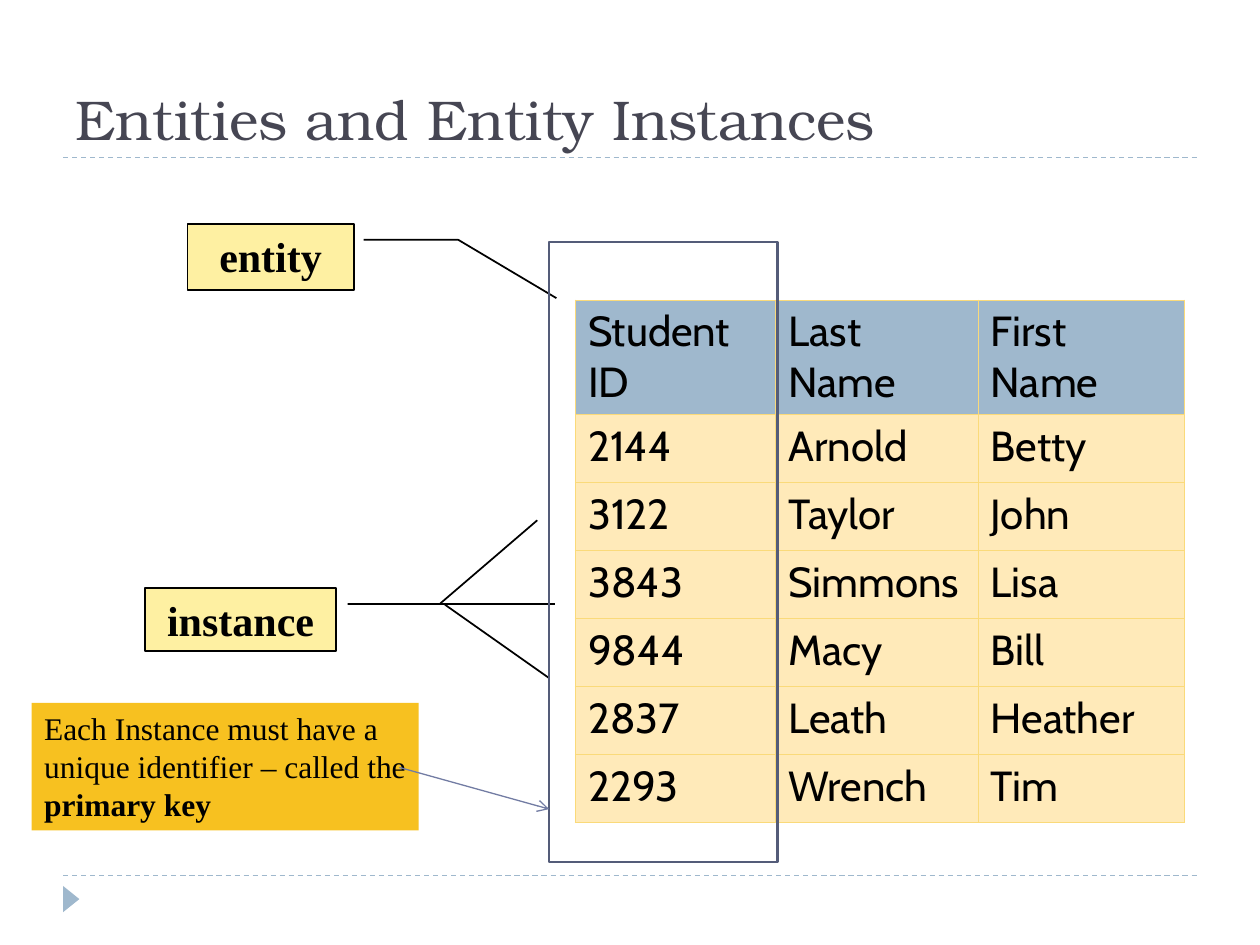
from dataclasses import dataclass

from lxml import etree
from pptx import Presentation
from pptx import util as u
from pptx.dml.color import RGBColor
from pptx.enum import dml, shapes, text
from pptx.oxml import ns


@dataclass(frozen=True)
class Theme:
    title_font: str = "TeX Gyre Bonum"
    table_font: str = "Cabin"
    label_font: str = "Times New Roman"
    title_size: int = 32
    large_size: int = 24
    note_size: int = 18
    title: str = "464653"
    ink: str = "000000"
    rule: str = "9FB8CD"
    header: str = "9FB8CD"
    body: str = "FFEAB9"
    grid: str = "FADA7A"
    label: str = "FEF0A2"
    note: str = "F7C120"
    frame: str = "545C79"
    arrow: str = "727CA3"


def set_font(paragraph, name, size, color, bold=False):
    paragraph.font.name = name
    paragraph.font.size = u.Pt(size)
    paragraph.font.bold = bold
    paragraph.font.color.rgb = RGBColor.from_string(color)


class SlideBuilder:
    """Draws the elements of one slide in a common style."""

    def __init__(self, slide, theme):
        self.slide = slide
        self.theme = theme

    def title(self, words, *box):
        shape = self.slide.shapes.title
        shape.left, shape.top, shape.width, shape.height = map(u.Cm, box)
        frame = shape.text_frame
        frame.text = words
        frame.vertical_anchor = text.MSO_ANCHOR.BOTTOM
        paragraph = frame.paragraphs[0]
        paragraph.alignment = text.PP_ALIGN.LEFT
        set_font(paragraph, self.theme.title_font, self.theme.title_size, self.theme.title)

    def shape(self, kind, *box, fill=None, line=None, weight=1):
        shape = self.slide.shapes.add_shape(kind, *map(u.Cm, box))
        shape.shadow.inherit = False
        if fill:
            shape.fill.solid()
            shape.fill.fore_color.rgb = RGBColor.from_string(fill)
        else:
            shape.fill.background()
        if line:
            shape.line.color.rgb = RGBColor.from_string(line)
            shape.line.width = u.Pt(weight)
        else:
            shape.line.fill.background()
        return shape

    def line(self, *ends, color, weight=1, dashed=False, arrow=False):
        connector = self.slide.shapes.add_connector(
            shapes.MSO_CONNECTOR.STRAIGHT, *map(u.Cm, ends))
        connector.line.color.rgb = RGBColor.from_string(color)
        connector.line.width = u.Pt(weight)
        if dashed:
            connector.line.dash_style = dml.MSO_LINE.DASH
        if arrow:
            outline = connector.line._get_or_add_ln()
            etree.SubElement(outline, ns.qn("a:tailEnd"), type="arrow")
        etree.SubElement(connector._element.spPr, ns.qn("a:effectLst"))

    def callout(self, words, *box, adjustments):
        shape = self.shape(shapes.MSO_SHAPE.LINE_CALLOUT_2, *box,
                           fill=self.theme.label, line=self.theme.ink)
        for index, value in enumerate(adjustments):
            shape.adjustments[index] = value
        frame = shape.text_frame
        frame.text = words
        frame.vertical_anchor = text.MSO_ANCHOR.TOP
        paragraph = frame.paragraphs[0]
        paragraph.alignment = text.PP_ALIGN.CENTER
        set_font(paragraph, self.theme.label_font, self.theme.large_size,
                 self.theme.ink, bold=True)

    def note(self, words, key_words, *box):
        shape = self.shape(shapes.MSO_SHAPE.RECTANGLE, *box, fill=self.theme.note)
        frame = shape.text_frame
        frame.word_wrap = True
        frame.vertical_anchor = text.MSO_ANCHOR.TOP
        paragraph = frame.paragraphs[0]
        paragraph.alignment = text.PP_ALIGN.LEFT
        set_font(paragraph, self.theme.label_font, self.theme.note_size, self.theme.ink)
        paragraph.add_run().text = words
        key_run = paragraph.add_run()
        key_run.text = key_words
        key_run.font.bold = True

    def table(self, rows, left, top, widths, header_height, row_height):
        heights = [header_height] + [row_height] * (len(rows) - 1)
        table = self.slide.shapes.add_table(
            len(rows), len(widths), u.Cm(left), u.Cm(top),
            u.Cm(sum(widths)), u.Cm(sum(heights))).table
        table.horz_banding = False
        for column, width in zip(table.columns, widths):
            column.width = u.Cm(width)
        for row_index, (row, height) in enumerate(zip(rows, heights)):
            table.rows[row_index].height = u.Cm(height)
            fill = self.theme.body if row_index else self.theme.header
            for column_index, words in enumerate(row):
                self.cell(table.cell(row_index, column_index), words, fill)

    def cell(self, cell, words, fill):
        cell.text = words
        set_font(cell.text_frame.paragraphs[0], self.theme.table_font,
                 self.theme.large_size, self.theme.ink)
        properties = cell._tc.get_or_add_tcPr()
        for side in ("a:lnL", "a:lnR", "a:lnT", "a:lnB"):
            border = etree.SubElement(properties, ns.qn(side), w=str(u.Pt(0.75)))
            solid = etree.SubElement(border, ns.qn("a:solidFill"))
            etree.SubElement(solid, ns.qn("a:srgbClr"), val=self.theme.grid)
        cell.fill.solid()
        cell.fill.fore_color.rgb = RGBColor.from_string(fill)


def main():
    presentation = Presentation()
    presentation.slide_width, presentation.slide_height = u.Cm(25.4), u.Cm(19.05)
    theme = Theme()
    slide = presentation.slides.add_slide(presentation.slide_layouts[5])
    builder = SlideBuilder(slide, theme)

    # Title, dashed rules and corner marker
    builder.title("Entities and Entity Instances", 1.27, 0.64, 22.86, 2.54)
    for height in (17.65, 3.18):
        builder.line(1.27, height, 24.13, height, color=theme.rule, weight=0.75, dashed=True)
    marker = builder.shape(shapes.MSO_SHAPE.ISOSCELES_TRIANGLE, 1.17, 17.96, 0.53, 0.33,
                           fill=theme.rule)
    marker.rotation = 90

    # Student table
    students = [
        ("Student ID", "Last Name", "First Name"),
        ("2144", "Arnold", "Betty"),
        ("3122", "Taylor", "John"),
        ("3843", "Simmons", "Lisa"),
        ("9844", "Macy", "Bill"),
        ("2837", "Leath", "Heather"),
        ("2293", "Wrench", "Tim"),
    ]
    builder.table(students, 11.6, 6.05, (4.04, 4.08, 4.16), 2.29, 1.37)

    # Callouts, with extra branches from "instance" to further rows
    builder.callout("instance", 2.92, 11.86, 3.86, 1.27,
                    adjustments=(0.25, 1.06, 0.25, 1.54, -1.08, 2.05))
    builder.line(8.43, 12.17, 11.18, 12.17, color=theme.ink)
    builder.line(8.97, 12.19, 11.07, 13.67, color=theme.ink)
    builder.callout("entity", 3.78, 4.52, 3.35, 1.32,
                    adjustments=(0.24, 1.06, 0.24, 1.63, 1.13, 2.22))

    # Primary key note, column frame and arrow
    builder.note("Each Instance must have a unique identifier – called the ", "primary key",
                 0.64, 14.17, 7.8, 2.57)
    builder.shape(shapes.MSO_SHAPE.RECTANGLE, 11.07, 4.88, 4.6, 12.5,
                  line=theme.frame, weight=1.5)
    builder.line(8.05, 15.47, 11.07, 16.31, color=theme.arrow, weight=0.75, arrow=True)

    presentation.save("out.pptx")


if __name__ == "__main__":
    main()
